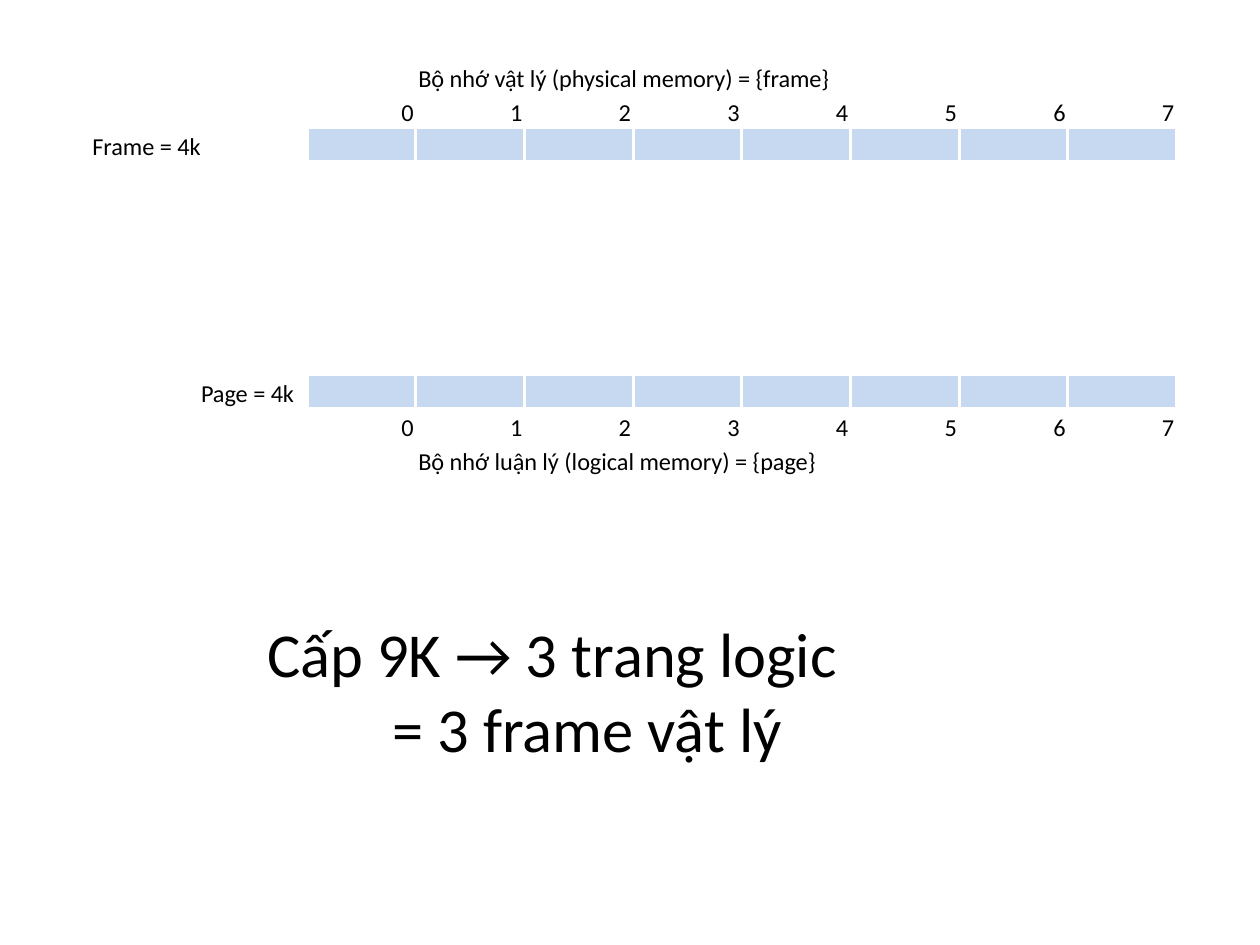
from lxml import etree
from pptx import Presentation, util as u
from pptx.dml.color import RGBColor
from pptx.enum import text
from pptx.oxml import ns

BLACK = RGBColor(0x00, 0x00, 0x00)
WHITE = RGBColor(0xFF, 0xFF, 0xFF)
PALE_BLUE = RGBColor(0xC6, 0xD9, 0xF1)
FONT = "Calibri"
WIDTH, HEIGHT = u.Inches(5.04), u.Inches(3.78)
COLUMNS, ROWS, FIRST_BLOCK = 10, 11, 2
TEXT_ROW, GAP_ROW = u.Pt(9.8), u.Pt(12.3)
GAP_ROWS = range(3, 8)


def write(para, words, size=7, color=BLACK, align=text.PP_ALIGN.LEFT):
    """Put one formatted run of words in a paragraph."""
    para.alignment = align
    span = para.add_run()
    span.text = words
    span.font.name, span.font.size = FONT, u.Pt(size)
    span.font.color.rgb = color


def style_cell(cell):
    """Give a cell tight margins, no fill, small type and white borders."""
    cell.margin_left = cell.margin_right = cell.margin_top = u.Inches(0.01)
    cell.margin_bottom = 0
    cell.vertical_anchor = text.MSO_ANCHOR.BOTTOM
    cell.fill.background()
    end = etree.SubElement(cell.text_frame.paragraphs[0]._p, ns.qn("a:endParaRPr"))
    end.set("sz", "700")
    properties = cell._tc.get_or_add_tcPr()
    for place, side in enumerate(("lnL", "lnR", "lnT", "lnB")):
        line = etree.Element(ns.qn("a:" + side), w=str(u.Pt(1)))
        fill = etree.SubElement(line, ns.qn("a:solidFill"))
        etree.SubElement(fill, ns.qn("a:srgbClr"), val=str(WHITE))
        properties.insert(place, line)


def add_memory(table, title, title_row, title_span, number_row, block_row,
               label, label_column):
    """Fill in one memory: its title, block numbers, label and blocks."""
    title_cell = table.cell(title_row, 3)
    title_cell.merge(table.cell(title_row, 2 + title_span))
    write(title_cell.text_frame.paragraphs[0], title)
    label_cell = table.cell(block_row, label_column)
    if label_column < FIRST_BLOCK - 1:
        label_cell.merge(table.cell(block_row, FIRST_BLOCK - 1))
    write(label_cell.text_frame.paragraphs[0], label)
    for column in range(FIRST_BLOCK, COLUMNS):
        number = table.cell(number_row, column).text_frame.paragraphs[0]
        write(number, str(column - FIRST_BLOCK), align=text.PP_ALIGN.RIGHT)
        block = table.cell(block_row, column)
        block.fill.solid()
        block.fill.fore_color.rgb = PALE_BLUE


def add_memory_map(page, left, top, width, height):
    """Draw the physical and logical memories as one table."""
    frame = page.shapes.add_table(ROWS, COLUMNS, left, top, width, height)
    table = frame.table
    table.first_row = table.horz_banding = False
    for column in table.columns:
        column.width = width // COLUMNS
    for index, row in enumerate(table.rows):
        row.height = GAP_ROW if index in GAP_ROWS else TEXT_ROW
    for cell in table.iter_cells():
        style_cell(cell)
    add_memory(table, "Bộ nhớ vật lý (physical memory) = {frame}",
               0, 5, 1, 2, "Frame = 4k", 0)
    add_memory(table, "Bộ nhớ luận lý (logical memory) = {page}",
               10, 4, 9, 8, "Page = 4k", 1)


def add_allocation(page, left, top, width, height):
    """Write the allocation example in two lines."""
    box = page.shapes.add_textbox(left, top, width, height).text_frame
    box.word_wrap = True
    write(box.paragraphs[0], "Cấp 9K → 3 trang logic", size=18)
    write(box.add_paragraph(), "\t= 3 frame vật lý", size=18)


def main():
    """Build the slide and save the deck."""
    deck = Presentation()
    deck.slide_width, deck.slide_height = WIDTH, HEIGHT
    page = deck.slides.add_slide(deck.slide_layouts[6])
    add_memory_map(page, u.Inches(0.36), u.Inches(0.24),
                   u.Inches(4.35), u.Inches(1.66))
    add_allocation(page, u.Inches(0.97), u.Inches(2.41),
                   u.Inches(3.19), u.Inches(0.71))
    deck.save("out.pptx")


if __name__ == "__main__":
    main()
